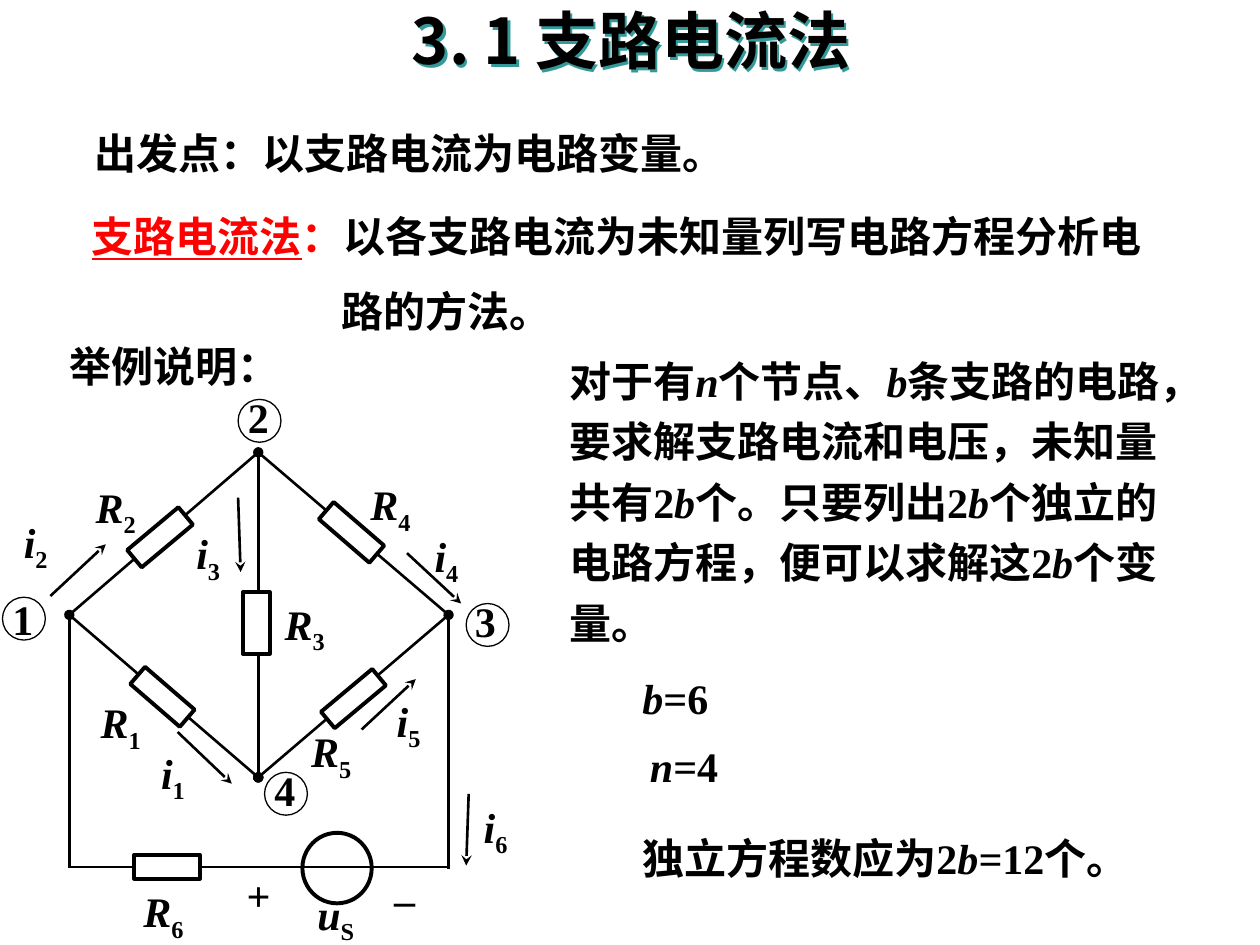
from lxml.etree import SubElement
from pptx import Presentation
from pptx.dml.color import RGBColor
from pptx.enum.shapes import MSO_CONNECTOR as CONN, MSO_SHAPE as SHAPE
from pptx.enum.text import MSO_ANCHOR as ANCHOR, MSO_AUTO_SIZE as AUTO, PP_ALIGN as ALIGN
from pptx.oxml.ns import qn
from pptx.util import Inches, Pt

rgb = RGBColor.from_string
CJK = "Noto Sans CJK SC"

prs = Presentation()
prs.slide_width, prs.slide_height = Inches(10), Inches(7.5)
s = prs.slides.add_slide(prs.slide_layouts[6])


def add_run(p, text, size=24, font="Times New Roman", color="000000",
            italic=False, underline=False, sub=False):
    r = p.add_run()
    r.text = text
    r.font.size, r.font.name, r.font.bold = Pt(size), font, True
    r.font.italic, r.font.underline = italic, underline
    r.font.color.rgb = rgb(color)
    rPr = r.font._element
    SubElement(rPr, qn("a:ea"), typeface=CJK)
    if sub:
        rPr.set("baseline", "-25000")


def add_text(text, x, y, w, h=0.5, sub="", spacing=None, **fmt):
    sp = s.shapes.add_textbox(Inches(x), Inches(y), Inches(w), Inches(h))
    tf = sp.text_frame
    tf.word_wrap = True
    tf.auto_size = AUTO.SHAPE_TO_FIT_TEXT
    p = tf.paragraphs[0]
    if spacing:
        p.line_spacing = spacing
    for i, part in enumerate(text.split("|")):
        if part:
            add_run(p, part, italic=i % 2 == 1, **fmt)
    if sub:
        add_run(p, sub, sub=True)
    return sp


add_text("出发点：以支路电流为电路变量。", 0.65, 0.96, 5.88)
add_text("对于有|n|个节点、|b|条支路的电路，要求解支路电流和电压，未知量共有2|b|个。"
         "只要列出2|b|个独立的电路方程，便可以求解这2|b|个变量。",
         4.42, 2.69, 5, 2.5, spacing=1.2)
add_text("举例说明：", 0.45, 2.65, 1.94)

left, top, right, bottom = (0.55, 4.88), (2.05, 3.59), (3.56, 4.88), (2.05, 6.17)
wires = [(top, bottom, "oval", "oval"), (top, right, None, None),
         (left, bottom, "oval", "oval"), (right, bottom, "oval", "oval"),
         (top, left, None, None), (left, (0.55, 6.89), None, None),
         (right, (3.56, 6.9), None, None), ((0.56, 6.88), (3.57, 6.88), None, None)]
arrows = [((0.4, 4.73), (0.84, 4.32)), ((2.87, 5.79), (3.3, 5.39)),
          ((1.41, 5.81), (1.84, 6.22)), ((3.23, 4.39), (3.66, 4.79)),
          ((1.89, 3.95), (1.91, 4.54)), ((3.72, 6.3), (3.7, 6.87))]
wires += [(a, b, None, "stealth") for a, b in arrows]
for (x1, y1), (x2, y2), head, tail in wires:
    sp = s.shapes.add_connector(CONN.STRAIGHT, Inches(x1), Inches(y1), Inches(x2), Inches(y2))
    sp.line.width = Pt(1.5)
    sp.line.color.rgb = rgb("000000")
    ln = sp.line._get_or_add_ln()
    for tag, end in (("a:headEnd", head), ("a:tailEnd", tail)):
        if end:
            SubElement(ln, qn(tag), type=end)
    SubElement(sp._element.spPr, qn("a:effectLst"))

resistors = [(1.93, 4.7, 0.21, 0.49, 0), (1.18, 4, 0.18, 0.53, 50.1),
             (2.7, 3.96, 0.18, 0.53, 310.8), (2.72, 5.28, 0.17, 0.53, 50.1),
             (1.2, 5.27, 0.18, 0.52, 310.8), (1.23, 6.62, 0.19, 0.52, 90)]
nodes = [("1", 0.02, 4.74, 0, 4.66), ("2", 1.89, 3.17, 1.87, 3.06),
         ("3", 3.7, 4.79, 3.67, 4.68), ("4", 2.1, 6.13, 2.08, 6.02)]
shapes = [(SHAPE.RECTANGLE, *box, 2.25) for box in resistors]
shapes.append((SHAPE.OVAL, 2.4, 6.61, 0.55, 0.56, 0, 2.25))
shapes += [(SHAPE.OVAL, x, y, 0.34, 0.34, 0, 0.75) for _, x, y, _, _ in nodes]
for kind, x, y, w, h, angle, width in shapes:
    sp = s.shapes.add_shape(kind, Inches(x), Inches(y), Inches(w), Inches(h))
    sp.rotation = angle
    sp.shadow.inherit = False
    if kind == SHAPE.RECTANGLE:
        sp.fill.solid()
        sp.fill.fore_color.rgb = rgb("FFFFFF")
    else:
        sp.fill.background()
    sp.line.color.rgb = rgb("000000")
    sp.line.width = Pt(width)

for text, _, _, x, y in nodes:
    add_text(text, x, y, 0.43)
for name, sub, x, y in [
        ("R", "1", 0.7, 5.48), ("R", "2", 0.66, 3.77), ("R", "3", 2.16, 4.7),
        ("R", "4", 2.84, 3.75), ("R", "5", 2.37, 5.71), ("R", "6", 1.04, 6.98),
        ("i", "1", 1.18, 5.88), ("i", "2", 0.09, 4.05), ("i", "3", 1.46, 4.14),
        ("i", "4", 3.35, 4.16), ("i", "5", 3.05, 5.47), ("i", "6", 3.74, 6.31),
        ("u", "S", 2.42, 7)]:
    add_text(f"|{name}|", x, y, 0.58, 0.56, sub=sub)
add_text("+", 1.86, 6.85, 0.54)
add_text("–", 3.03, 6.88, 0.53)

add_text("|b|=6", 5, 5.29, 1.19)
add_text("|n|=4", 5.06, 5.83, 0.81)
add_text("独立方程数应为2|b=|12个。", 5, 6.56, 4.1)

sp = add_text("支路电流法", 0.63, 1.42, 8.58, 1.3, spacing=1.5, color="FF0000", underline=True)
p = sp.text_frame.paragraphs[0]
add_run(p, "：", color="FF0000")
add_run(p, "以各支路电流为未知量列写电路方程分析电路的方法。")
pPr = p._p.get_or_add_pPr()
pPr.set("marL", str(Inches(1.98)))
pPr.set("indent", str(-Inches(1.98)))

sp = add_text("3. 1 支路电流法", 1.86, 0, 6.3, 0.63, size=36, font=CJK)
sp.text_frame.auto_size = AUTO.NONE
sp.text_frame.vertical_anchor = ANCHOR.MIDDLE
sp.text_frame.paragraphs[0].alignment = ALIGN.CENTER
effects = SubElement(sp._element.spPr, qn("a:effectLst"))
shadow = SubElement(effects, qn("a:outerShdw"), dist=str(Pt(2)), dir="2700000", algn="ctr")
SubElement(shadow, qn("a:srgbClr"), val="339999")

prs.save("out.pptx")
